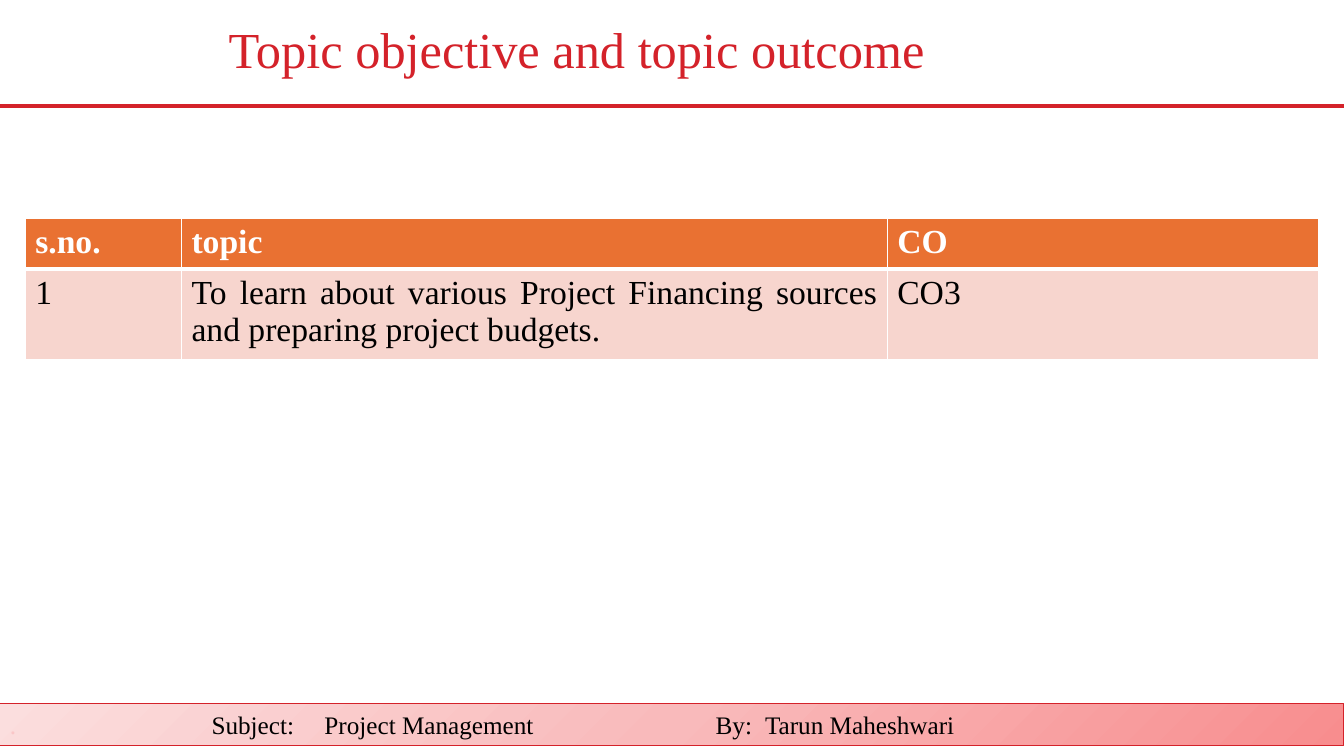
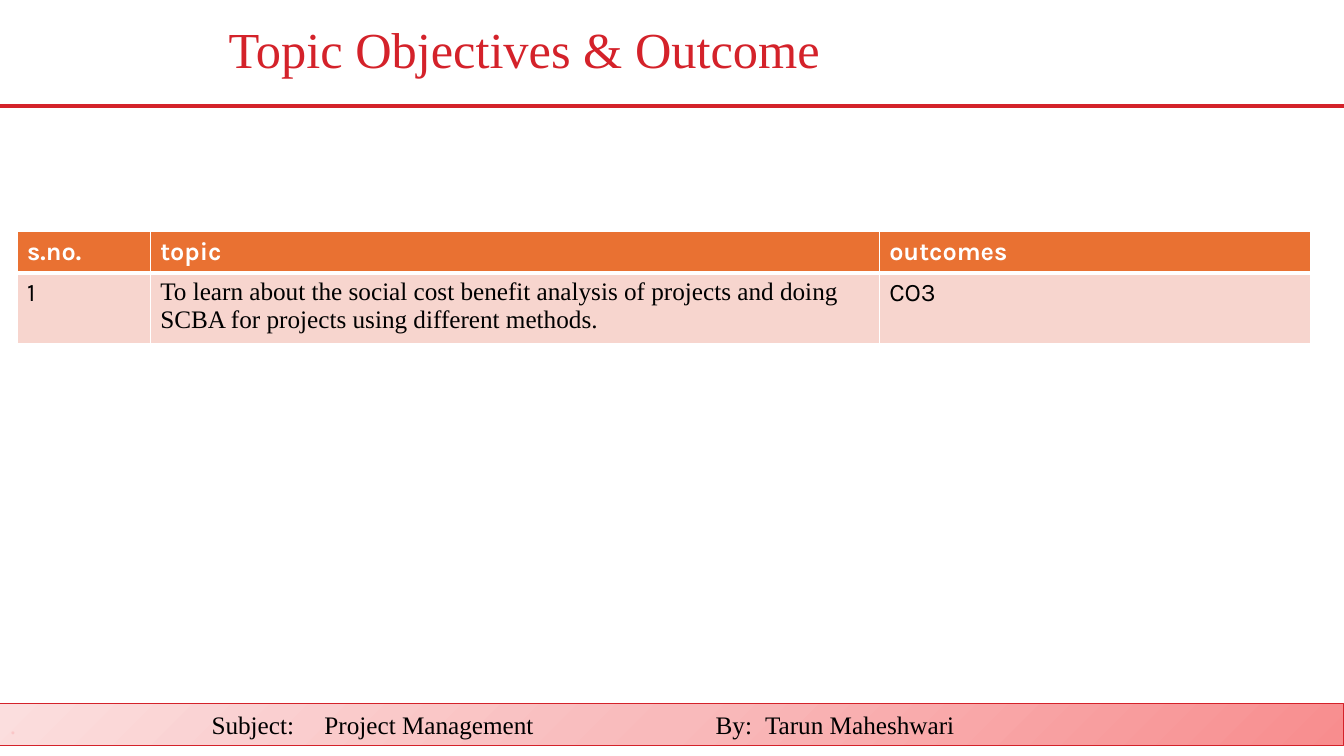
from copy import deepcopy

from lxml import etree
from pptx import Presentation
from pptx.dml.color import RGBColor
from pptx.enum import shapes, text
from pptx.oxml import ns
from pptx.util import Inches, Pt

COLORS = {
    "red": "D4222A",
    "white": "FFFFFF",
    "black": "000000",
    "orange": "E97132",
    "blush": "F7D5CE",
    "faint": "FAC6C7",
}
FOOTER_GRADIENT = ["F88D8E", "F9BABB", "FBDEDE"]
FOOTER_TABS = [2, 3.12, 7, 7.49]
SERIF, SANS = "Times New Roman", "Karla"
SLIDE_WIDTH, SLIDE_HEIGHT = 13.33, 7.5


def color(name):
    return RGBColor.from_string(COLORS[name])


def style_font(font, face, size, color_name, bold=False):
    font.name, font.size, font.bold = face, Pt(size), bold
    font.color.rgb = color(color_name)


def add_xml(parent, tag, **attributes):
    return etree.SubElement(parent, ns.qn(tag), attributes)


# Parts shared by every slide
def add_rule(page):
    rule = page.shapes.add_connector(
        shapes.MSO_CONNECTOR.STRAIGHT,
        0, Inches(1.05), Inches(SLIDE_WIDTH), Inches(1.05))
    rule.line.color.rgb = color("red")
    rule.line.width = Pt(3)
    add_xml(rule._element.spPr, "a:effectLst")


def fill_gradient(shape):
    shape.fill.gradient()
    stop_list = shape._element.spPr.find(".//" + ns.qn("a:gsLst"))
    stop_list.append(deepcopy(stop_list[-1]))
    for index, stop in enumerate(shape.fill.gradient_stops):
        stop.position = index / 2
        stop.color.rgb = RGBColor.from_string(FOOTER_GRADIENT[index])
    shape.fill.gradient_angle = 135


def add_footer(page):
    band = page.shapes.add_shape(
        shapes.MSO_SHAPE.RECTANGLE,
        0, Inches(6.98), Inches(SLIDE_WIDTH), Inches(0.42))
    band.shadow.inherit = False
    fill_gradient(band)
    band.line.color.rgb = color("red")
    band.line.width = Pt(0.75)

    paragraph = band.text_frame.paragraphs[0]
    paragraph.alignment = text.PP_ALIGN.LEFT
    tab_list = add_xml(paragraph._p.get_or_add_pPr(), "a:tabLst")
    for position in FOOTER_TABS:
        add_xml(tab_list, "a:tab", pos=str(Inches(position)), algn="l")
    for words, color_name in (
            (".", "faint"),
            ("\tSubject:\tProject Management\tBy:\tTarun Maheshwari", "black")):
        span = paragraph.add_run()
        span.text = words
        style_font(span.font, SERIF, 18, color_name)


def add_title(page, title):
    box = page.shapes.add_textbox(
        Inches(2.17), Inches(0.1), Inches(11.11), Inches(0.84))
    frame = box.text_frame
    frame.word_wrap = True
    frame.vertical_anchor = text.MSO_ANCHOR.MIDDLE
    frame.text = title
    paragraph = frame.paragraphs[0]
    paragraph.line_spacing = 0.9
    style_font(paragraph.runs[0].font, SERIF, 36, "red")


# Tables
def set_borders(cell, top, bottom):
    properties = cell._tc.get_or_add_tcPr()
    for side, width in (("L", 1), ("R", 1), ("T", top), ("B", bottom)):
        line = add_xml(properties, "a:ln" + side, w=str(Pt(width)))
        fill = add_xml(line, "a:solidFill")
        add_xml(fill, "a:srgbClr", val=COLORS["white"])


def add_topic_table(page, left, top, widths, heights, rows, size, face):
    table = page.shapes.add_table(
        len(rows), len(widths), Inches(left), Inches(top),
        Inches(sum(widths)), Inches(sum(heights))).table
    for column, width in zip(table.columns, widths):
        column.width = Inches(width)
    for row, height in zip(table.rows, heights):
        row.height = Inches(height)
    for row_index, row in enumerate(rows):
        header = row_index == 0
        for column_index, words in enumerate(row):
            cell = table.cell(row_index, column_index)
            cell.text = words
            set_borders(cell, 1 if header else 3, 3 if header else 1)
            cell.fill.solid()
            cell.fill.fore_color.rgb = color("orange" if header else "blush")
            # Topic descriptions are always set in the serif face
            cell_face = SERIF if column_index == 1 and not header else face
            style_font(cell.text_frame.paragraphs[0].runs[0].font, cell_face,
                       size, "white" if header else "black", header)
    return table


def add_page(deck, title):
    page = deck.slides.add_slide(deck.slide_layouts[6])
    add_rule(page)
    add_footer(page)
    add_title(page, title)
    return page


def main():
    deck = Presentation()
    deck.slide_width = Inches(SLIDE_WIDTH)
    deck.slide_height = Inches(SLIDE_HEIGHT)

    # Project financing
    page = add_page(deck, "Topic objective and topic outcome")
    table = add_topic_table(
        page, 0.25, 2.17, [1.55, 7, 4.28], [0.41, 0.56],
        [["s.no.", "topic", "CO"],
         ["1", "To learn about various Project Financing sources and "
               "preparing project budgets.", "CO3"]],
        24, SERIF)
    topic = table.cell(1, 1).text_frame.paragraphs[0]
    topic.alignment = text.PP_ALIGN.JUSTIFY

    # Social cost benefit analysis
    page = add_page(deck, "Topic Objectives & Outcome")
    add_topic_table(
        page, 0.17, 2.3, [1.32, 7.23, 4.28], [0.41, 0.41],
        [["s.no.", "topic", "outcomes"],
         ["1", "To learn about the social cost benefit analysis of projects "
               "and doing SCBA for projects using different methods.", "CO3"]],
        18, SANS)

    deck.save("out.pptx")


if __name__ == "__main__":
    main()
